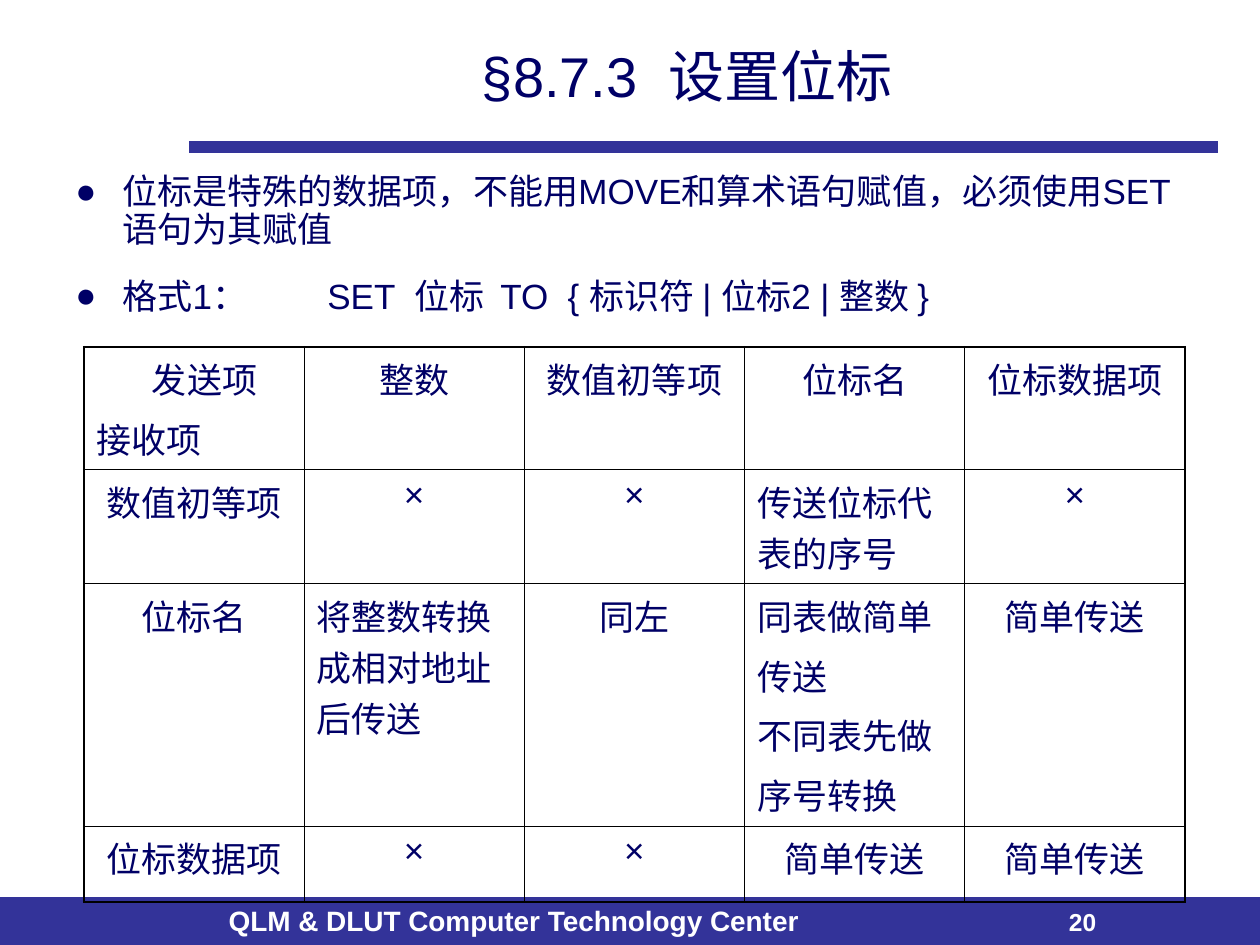
"""Build the slide on setting index names, with its table of allowed transfers."""
from lxml.etree import SubElement as Sub
from pptx import Presentation
from pptx.dml.color import RGBColor as RGB
from pptx.enum.shapes import MSO_CONNECTOR as Link, MSO_SHAPE as Shape
from pptx.enum.text import MSO_ANCHOR as Anchor, PP_ALIGN as Align
from pptx.oxml.ns import qn
from pptx.util import Cm, Pt

NAVY = RGB(0x00, 0x00, 0x66)
BLUE = RGB(0x33, 0x33, 0x99)
WHITE = RGB(0xFF, 0xFF, 0xFF)
BLACK = RGB(0x00, 0x00, 0x00)


def write(frame, text, size=20, bold=False, color=NAVY, align=Align.LEFT,
          gap=0, ratio=None, left=0, hang=0, mark=None, tab=None):
    para = frame.paragraphs[0]
    if para.runs:
        para = frame.add_paragraph()
        para.space_before = Pt(gap)
    para.alignment = align
    if ratio:
        para.line_spacing = ratio
    prop = para._p.get_or_add_pPr()
    prop.set("marL", str(Cm(left)))
    prop.set("indent", str(Cm(-hang)))
    if mark:
        Sub(Sub(prop, qn("a:buClr")), qn("a:srgbClr"), val=str(color))
        Sub(prop, qn("a:buFont"), typeface="Arial")
        Sub(prop, qn("a:buChar"), char=mark)
    if tab:
        Sub(Sub(prop, qn("a:tabLst")), qn("a:tab"), pos=str(Cm(tab)), algn="l")
    run = para.add_run()
    run.text = text
    font = run.font
    font.name, font.size, font.bold = "Arial", Pt(size), bold
    font.color.rgb = color


def edge(cell, side, width):
    line = Sub(cell._tc.get_or_add_tcPr(), qn("a:ln" + side), w=str(Pt(width)))
    Sub(Sub(line, qn("a:solidFill")), qn("a:srgbClr"), val=str(BLACK))


deck = Presentation()
deck.slide_width, deck.slide_height = Cm(25.4), Cm(19.05)
slide = deck.slides.add_slide(deck.slide_layouts[5])
shapes = slide.shapes

title = shapes.title
title.left, title.top, title.width, title.height = Cm(4.65), Cm(0.64), Cm(18.42), Cm(1.75)
title.text_frame.vertical_anchor = Anchor.MIDDLE
write(title.text_frame, "§8.7.3  设置位标", size=32, align=Align.CENTER)

bar = shapes.add_shape(Shape.RECTANGLE, Cm(0), Cm(18.09), Cm(25.4), Cm(1.52))
bar.shadow.inherit = False
bar.fill.solid()
bar.fill.fore_color.rgb = BLUE
bar.line.color.rgb = BLUE
bar.line.width = Pt(0.75)
bar.text_frame.vertical_anchor = Anchor.TOP
write(bar.text_frame, "QLM & DLUT Computer Technology Center",
      size=16, bold=True, color=WHITE, left=4.36)

page = shapes.add_textbox(Cm(21.3), Cm(18.15), Cm(1.5), Cm(0.85)).text_frame
page.word_wrap = True
write(page, "20", size=14, bold=True, color=WHITE)

rule = shapes.add_connector(Link.STRAIGHT, Cm(3.81), Cm(2.97), Cm(24.56), Cm(2.97))
rule.line.color.rgb = BLUE
rule.line.width = Pt(7)
Sub(rule._element.spPr, qn("a:effectLst"))

body = shapes.add_textbox(Cm(1.27), Cm(3.39), Cm(22.66), Cm(3.38)).text_frame
body.word_wrap = True
for point in ("位标是特殊的数据项，不能用MOVE和算术语句赋值，必须使用SET语句为其赋值",
              "格式1：\tSET  位标  TO  { 标识符 | 位标2 | 整数 }"):
    write(body, point, gap=16.5, ratio=0.9, left=0.95, hang=0.95, mark="●", tab=5.08)

rows = [
    ["发送项\n接收项", "整数", "数值初等项", "位标名", "位标数据项"],
    ["数值初等项", "×", "×", "传送位标代表的序号", "×"],
    ["位标名", "将整数转换成相对地址后传送", "同左",
     "同表做简单\n传送\n不同表先做\n序号转换", "简单传送"],
    ["位标数据项", "×", "×", "简单传送", "简单传送"],
]
tall = [2.48, 2.3, 4.88, 1.53]
wide = 4.44
last, end = len(rows) - 1, len(rows[0]) - 1
grid = shapes.add_table(last + 1, end + 1, Cm(1.69), Cm(6.99),
                        Cm(wide * (end + 1)), Cm(sum(tall))).table
grid.first_row = grid.horz_banding = False
for col in grid.columns:
    col.width = Cm(wide)
for r, row in enumerate(rows):
    grid.rows[r].height = Cm(tall[r])
    for c, text in enumerate(row):
        cell = grid.cell(r, c)
        for side, outer in (("L", c == 0), ("R", c == end), ("T", r == 0), ("B", r == last)):
            edge(cell, side, 1.08 if outer else 0.45)
        cell.fill.background()
        align = Align.LEFT if len(text) > 5 else Align.CENTER
        for n, words in enumerate(text.split("\n")):
            write(cell.text_frame, words, align=align, gap=5,
                  left=1.12 if r == c == n == 0 else 0)

deck.save("out.pptx")
